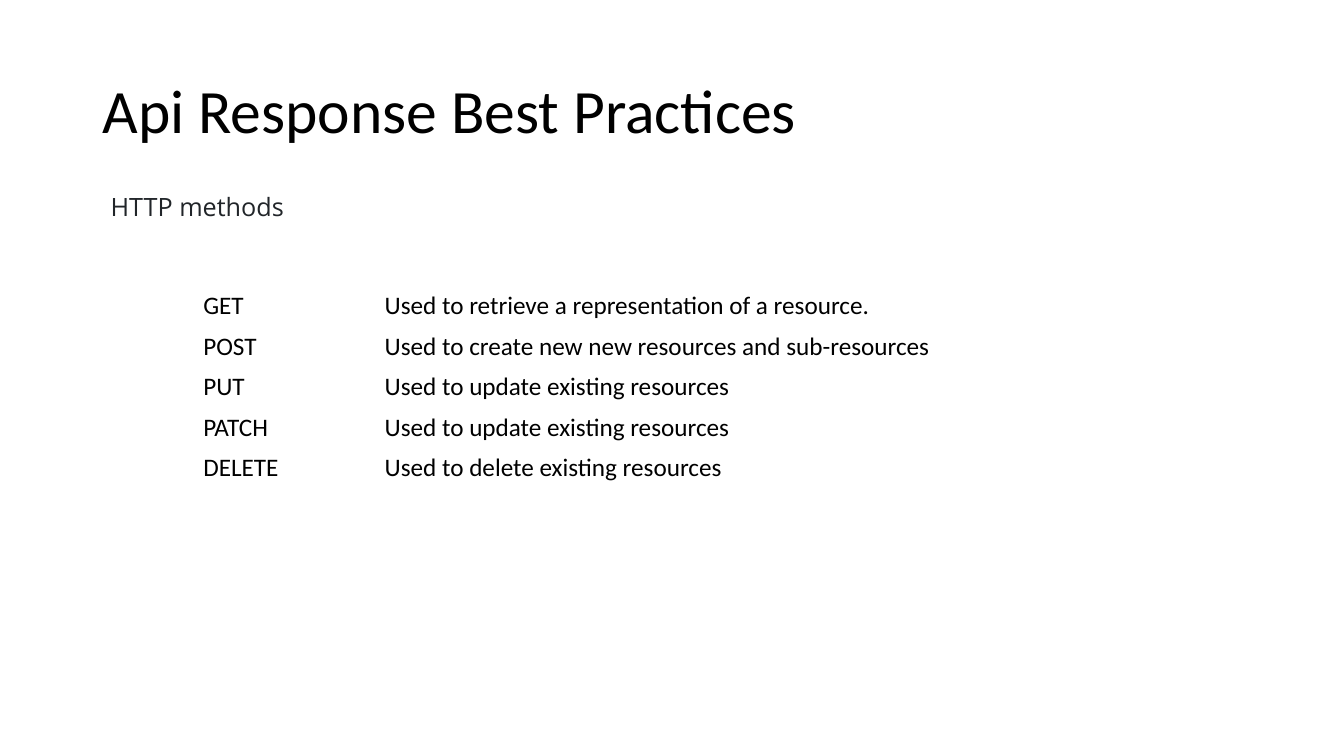
from pptx import Presentation
from pptx import util as u
from pptx.dml.color import RGBColor
from pptx.enum import text

METHODS = [
    ("GET", "Used to retrieve a representation of a resource."),
    ("POST", "Used to create new new resources and sub-resources"),
    ("PUT", "Used to update existing resources"),
    ("PATCH", "Used to update existing resources"),
    ("DELETE", "Used to delete existing resources"),
]


def rgb(value):
    return RGBColor.from_string(value)


def write(frame, words, size=18, font="Calibri", color="000000",
          anchor=text.MSO_ANCHOR.TOP, spacing=1.0):
    frame.word_wrap = True
    frame.vertical_anchor = anchor
    paragraph = frame.paragraphs[0]
    paragraph.alignment = text.PP_ALIGN.LEFT
    paragraph.line_spacing = spacing
    run = paragraph.add_run()
    run.text = words
    run.font.size = u.Pt(size)
    run.font.name = font
    run.font.bold = False
    run.font.color.rgb = rgb(color)


class SlideBuilder:
    background = "FFFFFF"
    muted = "212529"

    def __init__(self, slide):
        self.slide = slide
        fill = slide.background.fill
        fill.solid()
        fill.fore_color.rgb = rgb(self.background)

    def title(self, words, left, top, width, height):
        heading = self.slide.shapes.title
        heading.left, heading.top = u.Cm(left), u.Cm(top)
        heading.width, heading.height = u.Cm(width), u.Cm(height)
        write(heading.text_frame, words, size=44,
              anchor=text.MSO_ANCHOR.MIDDLE, spacing=0.9)
        heading.text_frame.auto_size = text.MSO_AUTO_SIZE.NONE

    def label(self, words, left, top, width, height):
        caption = self.slide.shapes.add_textbox(
            u.Cm(left), u.Cm(top), u.Cm(width), u.Cm(height))
        write(caption.text_frame, words, font="Open Sans", color=self.muted)
        caption.text_frame.auto_size = text.MSO_AUTO_SIZE.SHAPE_TO_FIT_TEXT

    def table(self, rows, left, top, widths, row_height):
        grid = self.slide.shapes.add_table(
            len(rows), len(widths), u.Cm(left), u.Cm(top),
            u.Cm(sum(widths)), u.Cm(row_height * len(rows))).table
        grid.first_row = grid.horz_banding = False
        for column, width in zip(grid.columns, widths):
            column.width = u.Cm(width)
        for row, entries in zip(grid.rows, rows):
            row.height = u.Cm(row_height)
            for cell, words in zip(row.cells, entries):
                cell.fill.solid()
                cell.fill.fore_color.rgb = rgb(self.background)
                cell.vertical_anchor = text.MSO_ANCHOR.MIDDLE
                write(cell.text_frame, words, anchor=text.MSO_ANCHOR.MIDDLE)


# Presentation with a title-only slide
deck = Presentation()
deck.slide_width, deck.slide_height = u.Cm(33.87), u.Cm(19.05)
practices = SlideBuilder(deck.slides.add_slide(deck.slide_layouts[5]))

# Heading and topic
practices.title("Api Response Best Practices", 2.33, 1.01, 29.21, 3.68)
practices.label("HTTP methods", 2.54, 4.7, 16.93, 1.02)

# Methods and their uses
practices.table(METHODS, 4.87, 7.2, widths=(4.57, 24.64), row_height=1.02)

deck.save("out.pptx")
